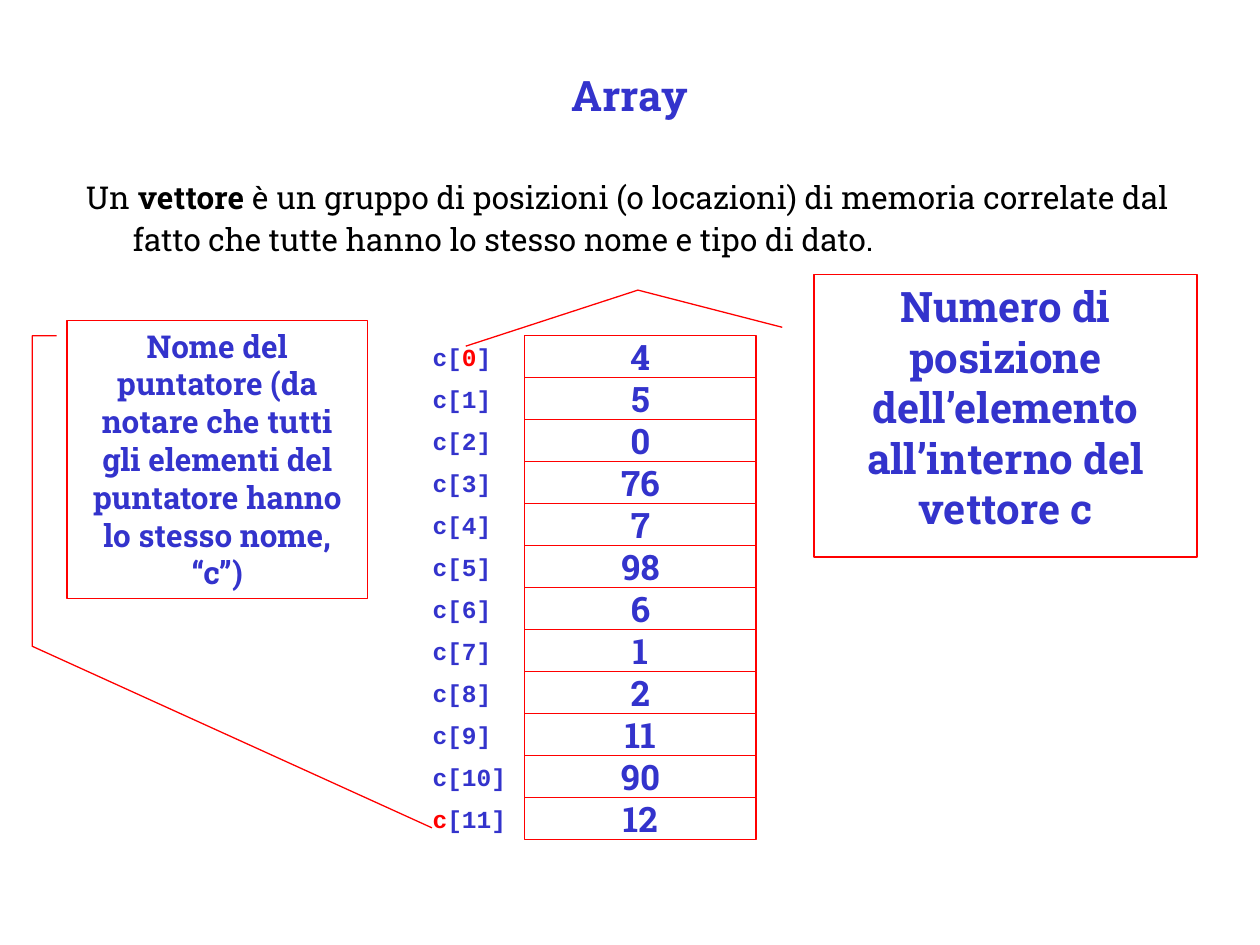
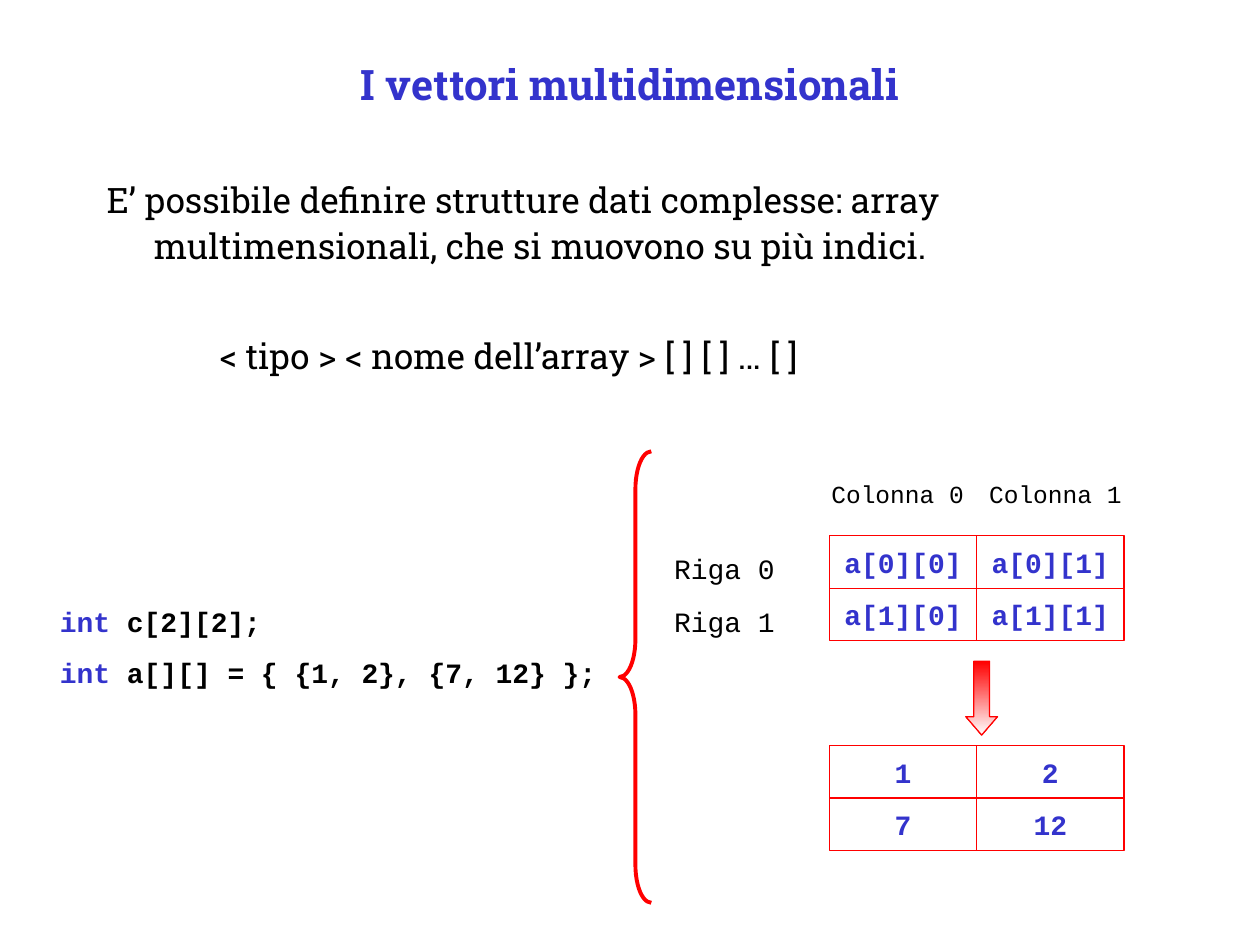
import pptx
import pptx.dml.color
import pptx.enum.shapes
import pptx.enum.text
import pptx.util

Cm = pptx.util.Cm
Pt = pptx.util.Pt
RGBColor = pptx.dml.color.RGBColor
MSO_SHAPE = pptx.enum.shapes.MSO_SHAPE
PP_ALIGN = pptx.enum.text.PP_ALIGN
MSO_ANCHOR = pptx.enum.text.MSO_ANCHOR

BLUE = RGBColor(0x33, 0x33, 0xCC)
RED = RGBColor(0xFF, 0x00, 0x00)
BLACK = RGBColor(0x00, 0x00, 0x00)
WHITE = RGBColor(0xFF, 0xFF, 0xFF)
SLAB = "Roboto Slab"
MONO = "Courier New"

ARRAY_VALUES = [4, 5, 0, 76, 7, 98, 6, 1, 2, 11, 90, 12]
ARRAY_LEFT, ARRAY_TOP, ARRAY_HEIGHT = 10.58, 6.77, 10.16
MATRIX_LEFT, MATRIX_CELL_WIDTH, MATRIX_CELL_HEIGHT = 16.72, 2.97, 1.06


def format_runs(paragraph, font_name, size, color, bold=False):
    for run in paragraph.runs:
        run.font.name = font_name
        run.font.size = Pt(size)
        run.font.bold = bold
        run.font.color.rgb = color


def add_colored_runs(paragraph, pieces, font_name, size):
    for text, color, bold in pieces:
        run = paragraph.add_run()
        run.text = text
        run.font.name = font_name
        run.font.size = Pt(size)
        run.font.bold = bold
        run.font.color.rgb = color


def add_titled_slide(presentation, text, title_height):
    slide = presentation.slides.add_slide(presentation.slide_layouts[5])
    title = slide.shapes.title
    title.left, title.top = Cm(1.9), Cm(1.06)
    title.width, title.height = Cm(21.6), Cm(title_height)
    title.text_frame.text = text
    title.text_frame.vertical_anchor = MSO_ANCHOR.MIDDLE
    paragraph = title.text_frame.paragraphs[0]
    paragraph.alignment = PP_ALIGN.CENTER
    format_runs(paragraph, SLAB, 24, BLUE, bold=True)
    return slide


def add_text_box(slide, left, top, width, height):
    box = slide.shapes.add_textbox(Cm(left), Cm(top), Cm(width), Cm(height))
    box.text_frame.word_wrap = True
    return box.text_frame


def add_label(slide, text, left, top, width, size):
    paragraph = add_text_box(slide, left, top, width, 0.94).paragraphs[0]
    paragraph.text = text
    format_runs(paragraph, MONO, size, BLACK)


def set_body_spacing(paragraph, space_before, left=0.95, first_line=-0.95):
    paragraph.line_spacing = 1.1
    paragraph.space_before = Pt(space_before)
    properties = paragraph._p.get_or_add_pPr()
    properties.set("marL", str(Cm(left)))
    properties.set("indent", str(Cm(first_line)))


def add_outlined_shape(slide, kind, left, top, width, height, line_width=0.75):
    shape = slide.shapes.add_shape(kind, Cm(left), Cm(top), Cm(width), Cm(height))
    shape.shadow.inherit = False
    shape.fill.background()
    shape.line.color.rgb = RED
    shape.line.width = Pt(line_width)
    return shape


def add_cell(slide, text, left, top, width, height, font_name, size):
    cell = add_outlined_shape(slide, MSO_SHAPE.RECTANGLE, left, top, width, height)
    cell.text_frame.text = text
    cell.text_frame.word_wrap = False
    cell.text_frame.vertical_anchor = MSO_ANCHOR.MIDDLE
    paragraph = cell.text_frame.paragraphs[0]
    paragraph.alignment = PP_ALIGN.CENTER
    format_runs(paragraph, font_name, size, BLUE, bold=True)


def add_callout(slide, kind, text, size, left, top, width, height, leader_points):
    callout = add_outlined_shape(slide, kind, left, top, width, height)
    for index, (x, y) in enumerate(leader_points):
        callout.adjustments[2 * index] = (y - top) / height
        callout.adjustments[2 * index + 1] = (x - left) / width
    callout.text_frame.text = text
    callout.text_frame.word_wrap = True
    callout.text_frame.vertical_anchor = MSO_ANCHOR.TOP
    paragraph = callout.text_frame.paragraphs[0]
    paragraph.alignment = PP_ALIGN.CENTER
    format_runs(paragraph, SLAB, size, BLUE, bold=True)


def add_array(slide):
    row_height = ARRAY_HEIGHT / len(ARRAY_VALUES)
    last = len(ARRAY_VALUES) - 1
    for index, value in enumerate(ARRAY_VALUES):
        top = ARRAY_TOP + index * row_height
        add_cell(slide, str(value), ARRAY_LEFT, top, 4.66, row_height, SLAB, 20)
        label = add_text_box(slide, 8.47, top, 2.12, 0.86)
        pieces = [
            ("c", RED if index == last else BLUE, True),
            ("[", BLUE, True),
            (str(index), RED if index == 0 else BLUE, True),
            ("]", BLUE, True),
        ]
        add_colored_runs(label.paragraphs[0], pieces, MONO, 14)


def add_matrix(slide, rows, top):
    for row_index, row in enumerate(rows):
        for column_index, text in enumerate(row):
            add_cell(
                slide,
                text,
                MATRIX_LEFT + column_index * MATRIX_CELL_WIDTH,
                top + row_index * MATRIX_CELL_HEIGHT,
                MATRIX_CELL_WIDTH,
                MATRIX_CELL_HEIGHT,
                MONO,
                16,
            )


def add_gradient_arrow(slide):
    arrow = add_outlined_shape(slide, MSO_SHAPE.DOWN_ARROW, 19.47, 13.33, 0.64, 1.49)
    arrow.adjustments[0] = 0.5
    arrow.adjustments[1] = 0.58
    arrow.fill.gradient()
    arrow.fill.gradient_angle = 270
    for stop, color in zip(arrow.fill.gradient_stops, (RED, WHITE)):
        stop.color.rgb = color


def build_array_slide(presentation):
    slide = add_titled_slide(presentation, "Array", 1.7)
    definition = add_text_box(slide, 1.48, 3.39, 23.28, 2.33).paragraphs[0]
    pieces = [
        ("Un ", BLACK, False),
        ("vettore ", BLACK, True),
        (
            "è un gruppo di posizioni (o locazioni) di memoria correlate dal "
            "fatto che tutte hanno lo stesso nome e tipo di dato.",
            BLACK,
            False,
        ),
    ]
    add_colored_runs(definition, pieces, SLAB, 18)
    set_body_spacing(definition, 4.5)
    add_array(slide)
    add_callout(
        slide,
        MSO_SHAPE.LINE_CALLOUT_2,
        "Numero di posizione dell’elemento all’interno del vettore c",
        24,
        16.41, 5.54, 7.72, 5.69,
        [(15.77, 6.6), (12.86, 5.85), (9.39, 6.98)],
    )
    add_callout(
        slide,
        MSO_SHAPE.LINE_CALLOUT_3,
        "Nome del puntatore (da notare che tutti gli elementi del puntatore "
        "hanno lo stesso nome, “c”)",
        18,
        1.35, 6.46, 6.06, 5.61,
        [(1.14, 6.77), (0.65, 6.77), (0.65, 13.03), (8.71, 16.69)],
    )


def build_matrix_slide(presentation):
    slide = add_titled_slide(presentation, "I vettori multidimensionali", 1.27)
    body = add_text_box(slide, 1.9, 3.39, 21.8, 11.22)
    body.text = (
        "E’ possibile definire strutture dati complesse: array "
        "multimensionali, che si muovono su più indici."
    )
    syntax = body.add_paragraph()
    syntax.text = "< tipo > < nome dell’array > [ ] [ ] … [ ]"
    for paragraph in body.paragraphs:
        format_runs(paragraph, SLAB, 20, BLACK)
    set_body_spacing(body.paragraphs[0], 5)
    set_body_spacing(syntax, 36.4, left=2.28, first_line=0)

    code = add_text_box(slide, 0.96, 12.07, 11.54, 1.95)
    declarations = [" c[2][2];", " a[][] = { {1, 2}, {7, 12} };"]
    for index, declaration in enumerate(declarations):
        paragraph = code.add_paragraph() if index else code.paragraphs[0]
        paragraph.space_before = Pt(10)
        pieces = [("int", BLUE, True), (declaration, BLACK, True)]
        add_colored_runs(paragraph, pieces, MONO, 16)

    add_matrix(slide, [[f"a[{i}][{j}]" for j in range(2)] for i in range(2)], 10.8)
    add_matrix(slide, [["1", "2"], ["7", "12"]], 15.03)
    for index in range(2):
        add_label(slide, f"Riga {index}", 13.34, 11 + index * 1.06, 3.18, 16)
        add_label(slide, f"Colonna {index}", 16.51 + index * 3.18, 9.53, 3.2, 14)
    add_gradient_arrow(slide)
    brace = add_outlined_shape(slide, MSO_SHAPE.LEFT_BRACE, 12.49, 9.1, 0.64, 9.1, 2.25)
    brace.adjustments[0] = 1.19
    brace.adjustments[1] = 0.5


def main():
    presentation = pptx.Presentation()
    presentation.slide_width = Cm(25.4)
    presentation.slide_height = Cm(19.05)
    build_array_slide(presentation)
    build_matrix_slide(presentation)
    presentation.save("out.pptx")


if __name__ == "__main__":
    main()
